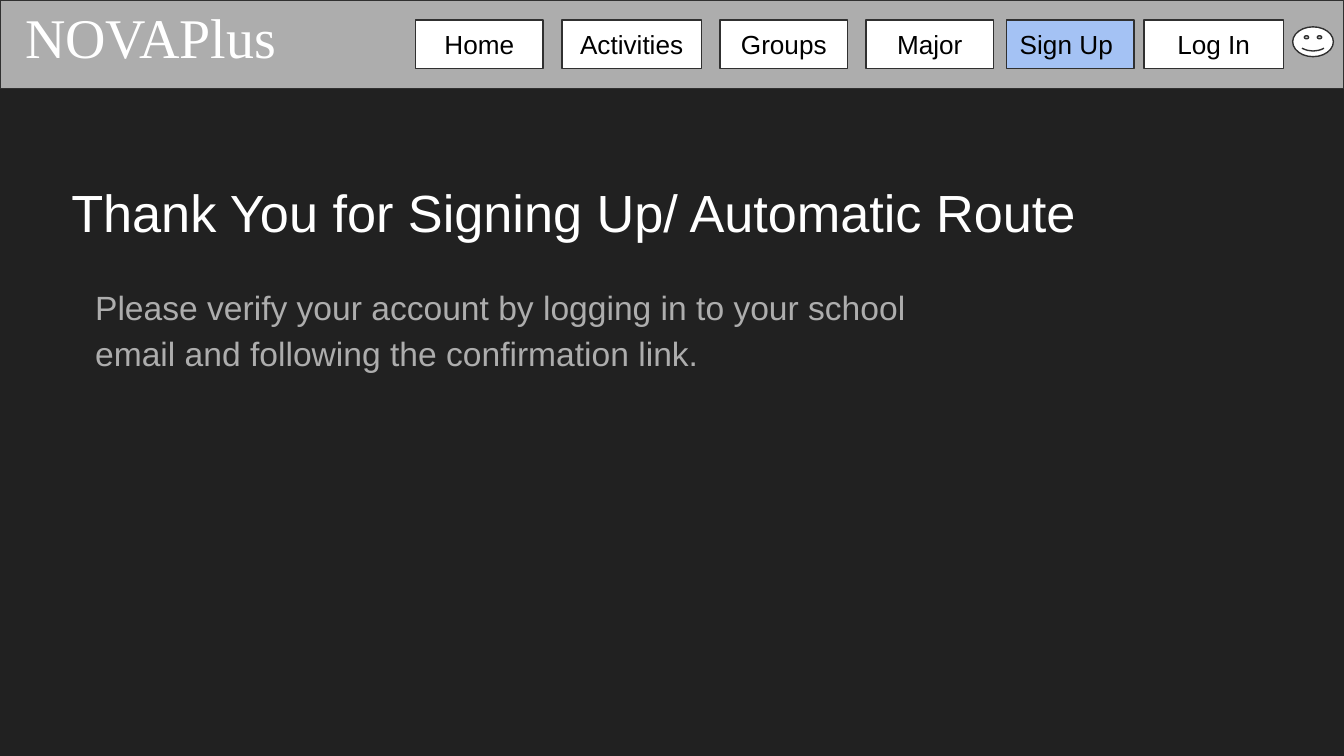
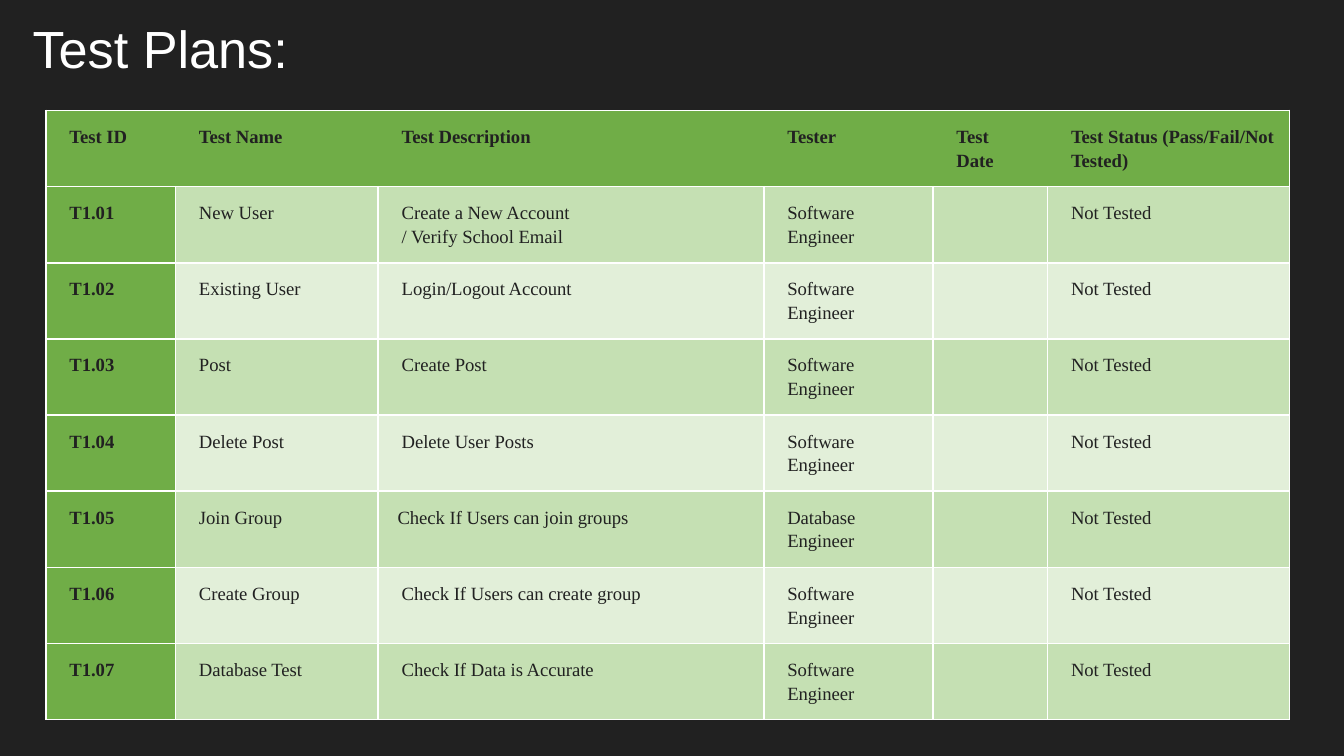
from lxml import etree
from pptx import Presentation
from pptx.dml.color import RGBColor
from pptx.enum.shapes import MSO_SHAPE
from pptx.enum.text import MSO_ANCHOR, MSO_AUTO_SIZE, PP_ALIGN
from pptx.oxml.ns import qn
from pptx.util import Pt

RECTANGLE, SMILEY = MSO_SHAPE.RECTANGLE, MSO_SHAPE.SMILEY_FACE
LEFT, CENTER = PP_ALIGN.LEFT, PP_ALIGN.CENTER
TOP, MIDDLE = MSO_ANCHOR.TOP, MSO_ANCHOR.MIDDLE
SANS, SERIF = "Arial", "Times New Roman"

COLORS = {
    "background": "212121",
    "white": "FFFFFF",
    "black": "000000",
    "gray": "ADADAD",
    "outline": "303030",
    "active": "A4C2F4",
    "green": "70AD47",
    "green_mid": "C5E0B3",
    "green_pale": "E2EFD9",
}

# Sign-up slide
SITE_NAME = "NOVAPlus"
SIGNUP_TITLE = "Thank You for Signing Up/ Automatic Route"
SIGNUP_MESSAGE = ("Please verify your account by logging in to your school "
                  "email and following the confirmation link.")
NARROW, WIDE = 68.4, 74.9
NAV_BUTTONS = [  # label, left, width, fill, alignment
    ("Home", 222.6, NARROW, "white", CENTER),
    ("Activities", 301, WIDE, "white", CENTER),
    ("Groups", 385.7, NARROW, "white", CENTER),
    ("Major", 463.9, NARROW, "white", CENTER),
    ("Sign Up", 539.2, NARROW, "active", LEFT),
    ("Log In", 612.8, WIDE, "white", CENTER),
]

# Test plan slide
PLAN_TITLE = "Test Plans:"
PLAN_HEADER = ["Test ID", "Test Name", "Test Description", "Tester", "Test Date",
               "Test Status (Pass/Fail/Not Tested)"]
SOFTWARE, DATABASE = "Software Engineer", "Database Engineer"
STATUS = "Not Tested"
TESTS = [  # name, description, tester
    ("New User", "Create a New Account\n/ Verify School Email", SOFTWARE),
    ("Existing User", "Login/Logout Account", SOFTWARE),
    ("Post", "Create Post", SOFTWARE),
    ("Delete Post", "Delete User Posts", SOFTWARE),
    ("Join Group", "Check If Users can join groups", DATABASE),
    ("Create Group", "Check If Users can create group", SOFTWARE),
    ("Database Test", "Check If Data is Accurate", SOFTWARE),
]
COLUMN_WIDTHS = [69.4, 108.6, 206.6, 90.6, 61.4, 129.6]
ROW_HEIGHT = 40.8
CELL_INDENT = 7.2
INDENT_EXCEPTIONS = {(5, 2): 5}
CELL_MARGIN = 5.4
RIGHT_MARGIN_EXCEPTIONS = {(0, 4): 10}


def color(name):
    return RGBColor.from_string(COLORS[name])


def set_text(text_frame, text, size, font, color_name, alignment=LEFT, bold=False):
    text_frame.text = text
    for paragraph in text_frame.paragraphs:
        paragraph.alignment = alignment
        paragraph.font.size = Pt(size)
        for run in paragraph.runs:
            run.font.size = Pt(size)
            run.font.name = font
            run.font.bold = bold
            run.font.color.rgb = color(color_name)


def set_frame(text_frame, anchor):
    text_frame.word_wrap = True
    text_frame.auto_size = MSO_AUTO_SIZE.NONE
    text_frame.vertical_anchor = anchor
    for side in ("left", "right", "top", "bottom"):
        setattr(text_frame, f"margin_{side}", Pt(7.2))


def add_titled_slide(presentation, title, left, top):
    slide = presentation.slides.add_slide(presentation.slide_layouts[5])
    slide.background.fill.solid()
    slide.background.fill.fore_color.rgb = color("background")
    shape = slide.shapes.title
    shape.left, shape.top, shape.width, shape.height = map(Pt, (left, top, 671, 45.4))
    set_frame(shape.text_frame, TOP)
    set_text(shape.text_frame, title, 28, SANS, "white")
    return slide


def add_box(slide, kind, box, fill):
    shape = slide.shapes.add_shape(kind, *map(Pt, box))
    shape.shadow.inherit = False
    shape.fill.solid()
    shape.fill.fore_color.rgb = color(fill)
    shape.line.color.rgb = color("outline")
    shape.line.width = Pt(0.75)
    return shape


def add_text(slide, box, text, size, font, color_name):
    text_frame = slide.shapes.add_textbox(*map(Pt, box)).text_frame
    set_frame(text_frame, TOP)
    set_text(text_frame, text, size, font, color_name)
    return text_frame


def add_navigation(slide):
    add_box(slide, RECTANGLE, (0, 0, 720, 47.4), "gray")
    for label, left, width, fill, alignment in NAV_BUTTONS:
        button = add_box(slide, RECTANGLE, (left, 10.8, width, 25.9), fill)
        set_frame(button.text_frame, MIDDLE)
        set_text(button.text_frame, label, 14, SANS, "black", alignment)
    add_text(slide, (6.4, -5.8, 255, 54), SITE_NAME, 30, SERIF, "white")
    add_box(slide, SMILEY, (692.5, 14.4, 21.8, 16), "white")


def set_borders(cell, hidden):
    """Draw white cell borders, except on the sides in hidden."""
    properties = cell._tc.get_or_add_tcPr()
    for side in "LRTB":
        line = etree.SubElement(properties, qn(f"a:ln{side}"), w=str(Pt(1)))
        if side in hidden:
            etree.SubElement(line, qn("a:noFill"))
        else:
            fill = etree.SubElement(line, qn("a:solidFill"))
            etree.SubElement(fill, qn("a:srgbClr"), val=COLORS["white"])


def hidden_borders(row, column):
    if row:
        return ""
    last = len(COLUMN_WIDTHS) - 1
    return ("L" if column else "") + ("R" if column < last else "")


def add_plan_table(slide):
    rows = [PLAN_HEADER] + [
        (f"T1.{number:02}", name, description, tester, "", STATUS)
        for number, (name, description, tester) in enumerate(TESTS, 1)
    ]
    table = slide.shapes.add_table(
        len(rows), len(COLUMN_WIDTHS), Pt(24.6), Pt(59.2),
        Pt(sum(COLUMN_WIDTHS)), Pt(ROW_HEIGHT * len(rows))).table
    table.horz_banding = False
    for column, width in zip(table.columns, COLUMN_WIDTHS):
        column.width = Pt(width)
    for row, values in enumerate(rows):
        table.rows[row].height = Pt(ROW_HEIGHT)
        for column, value in enumerate(values):
            key = (row, column)
            heading = row == 0 or column == 0
            cell = table.cell(row, column)
            set_borders(cell, hidden_borders(row, column))
            cell.fill.solid()
            band = "green_mid" if row % 2 else "green_pale"
            cell.fill.fore_color.rgb = color("green" if heading else band)
            cell.margin_left = Pt(CELL_MARGIN)
            cell.margin_right = Pt(RIGHT_MARGIN_EXCEPTIONS.get(key, CELL_MARGIN))
            cell.margin_top = cell.margin_bottom = Pt(7.2)
            set_text(cell.text_frame, value, 10, SERIF, "background", bold=heading)
            for paragraph in cell.text_frame.paragraphs:
                paragraph.line_spacing = 1.15
                indent = Pt(INDENT_EXCEPTIONS.get(key, CELL_INDENT))
                paragraph._p.get_or_add_pPr().set("marL", str(indent))


def main():
    presentation = Presentation()
    presentation.slide_width, presentation.slide_height = Pt(720), Pt(405)

    signup = add_titled_slide(presentation, SIGNUP_TITLE, 31, 89.3)
    message = add_text(signup, (43.9, 143.3, 465.8, 269.3), SIGNUP_MESSAGE,
                       18, SANS, "gray")
    message.paragraphs[0].line_spacing = 1.15
    message.paragraphs[0].space_after = Pt(16)
    add_navigation(signup)

    plan = add_titled_slide(presentation, PLAN_TITLE, 10.3, 1.4)
    add_plan_table(plan)

    presentation.save("out.pptx")


if __name__ == "__main__":
    main()
